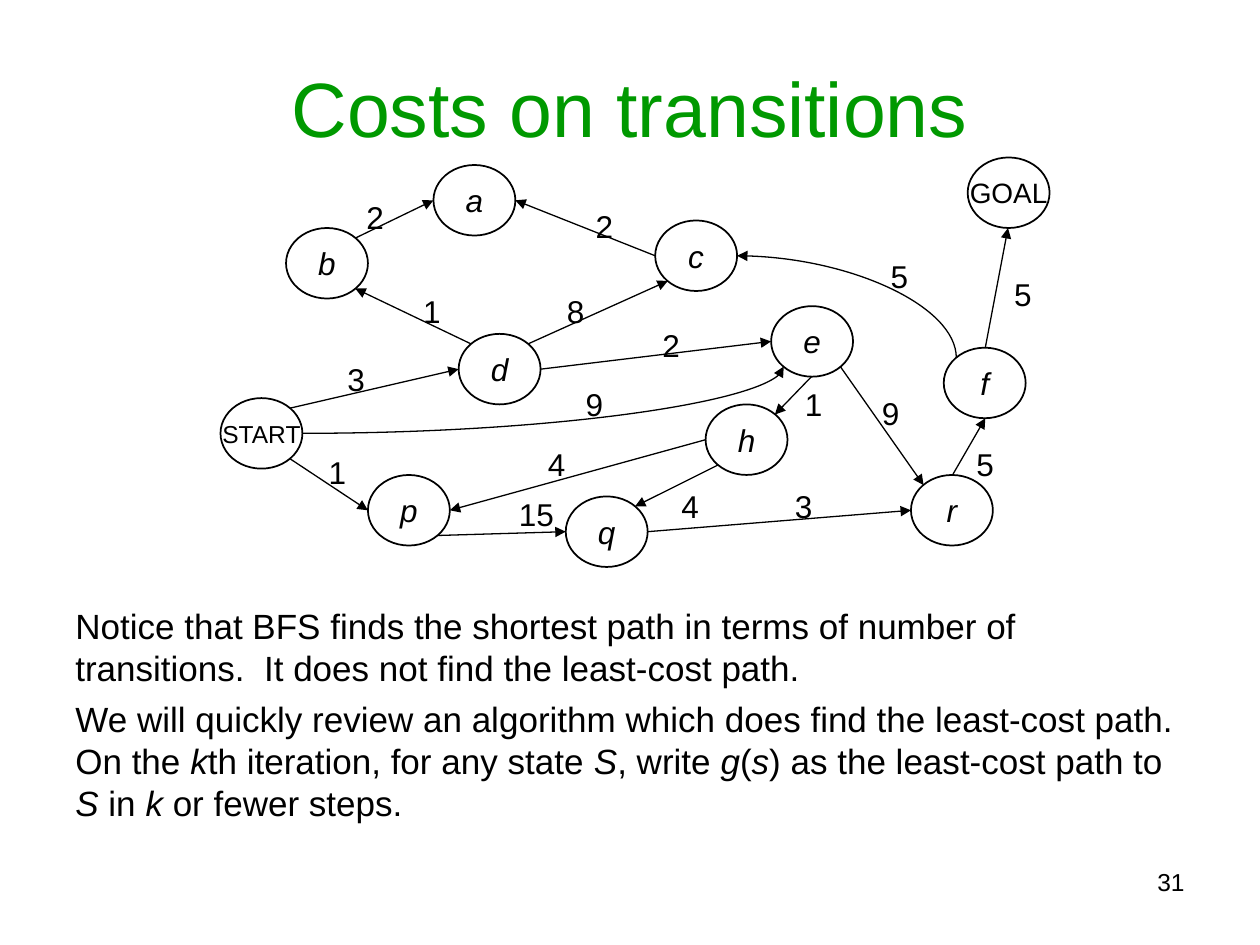
"""Build the slide about transition costs in a state graph."""
from dataclasses import dataclass

from lxml import etree
from pptx import Presentation
from pptx.dml.color import RGBColor
from pptx.enum.shapes import MSO_CONNECTOR, MSO_SHAPE
from pptx.enum.text import MSO_ANCHOR, PP_ALIGN
from pptx.oxml.ns import qn
from pptx.util import Emu, Pt

PX = 9144
NODE_W, NODE_H = 65, 56
DIAGONAL = 0.5 ** 0.5
FONT, BLACK, GREEN = "Arial", "000000", "009900"
CIRCLE = MSO_SHAPE.FLOWCHART_CONNECTOR
STRAIGHT, CURVE = MSO_CONNECTOR.STRAIGHT, MSO_CONNECTOR.CURVE
LEFT, CENTER, RIGHT = PP_ALIGN.LEFT, PP_ALIGN.CENTER, PP_ALIGN.RIGHT
TOP, MIDDLE = MSO_ANCHOR.TOP, MSO_ANCHOR.MIDDLE
SITES = {
    "N": (0, -1), "S": (0, 1), "W": (-1, 0), "E": (1, 0),
    "NW": (-DIAGONAL, -DIAGONAL), "NE": (DIAGONAL, -DIAGONAL),
    "SW": (-DIAGONAL, DIAGONAL), "SE": (DIAGONAL, DIAGONAL),
}


@dataclass(frozen=True)
class Node:
    """A state of the graph."""
    x: int
    y: int
    size: int = 18
    italic: bool = True

    def site(self, name: str) -> tuple[int, int]:
        """Return a point on the outline, named by compass direction."""
        dx, dy = SITES[name]
        return (round(self.x + NODE_W * (1 + dx) / 2),
                round(self.y + NODE_H * (1 + dy) / 2))


@dataclass(frozen=True)
class Edge:
    """A line between the outlines of two nodes."""
    start: str
    start_site: str
    end: str
    end_site: str
    curved: bool = False
    arrow: str = "tailEnd"


@dataclass(frozen=True)
class Cost:
    """The cost written beside an edge."""
    text: str
    x: int
    y: int
    w: int = 30
    h: int = 40


NODES = {
    "START": Node(175, 316, 14, False),
    "GOAL": Node(768, 125, 16, False),
    "d": Node(364, 265),
    "b": Node(227, 181),
    "p": Node(292, 377),
    "q": Node(449, 394),
    "c": Node(520, 175),
    "e": Node(612, 243),
    "h": Node(560, 321),
    "a": Node(344, 131),
    "f": Node(749, 276),
    "r": Node(723, 377),
}
EDGES = [
    Edge("START", "SE", "p", "W"),
    Edge("p", "SE", "q", "W"),
    Edge("h", "SW", "q", "NE"),
    Edge("h", "W", "p", "E"),
    Edge("e", "S", "h", "NE"),
    Edge("e", "SE", "r", "NW"),
    Edge("r", "N", "f", "S"),
    Edge("f", "N", "GOAL", "S"),
    Edge("START", "NE", "d", "W"),
    Edge("d", "NW", "b", "SE"),
    Edge("b", "NE", "a", "W"),
    Edge("c", "W", "a", "E"),
    Edge("d", "NE", "c", "SW"),
    Edge("d", "E", "e", "W"),
    Edge("q", "E", "r", "W"),
    Edge("c", "E", "f", "NW", True, "headEnd"),
    Edge("START", "E", "e", "SW", True),
]
COSTS = [
    Cost("2", 281, 152), Cost("9", 455, 301), Cost("9", 690, 308),
    Cost("8", 440, 227), Cost("1", 326, 227), Cost("1", 629, 301),
    Cost("2", 463, 159), Cost("3", 266, 281), Cost("5", 765, 348),
    Cost("3", 621, 382), Cost("4", 531, 382), Cost("4", 425, 348),
    Cost("15", 402, 388, 50), Cost("1", 251, 355),
    Cost("5", 697, 199), Cost("5", 795, 213), Cost("2", 516, 254),
]
BODY = [
    [("Notice that BFS finds the shortest path in terms of number of "
      "transitions.  It does not find the least-cost path.", False)],
    [("We will quickly review an algorithm which does find the least-cost "
      "path.  On the ", False), ("k", True),
     ("th iteration, for any state ", False), ("S", True),
     (", write ", False), ("g", True), ("(", False), ("s", True),
     (") as the least-cost path to ", False), ("S", True),
     (" in ", False), ("k", True), (" or fewer steps.", False)],
]


def px(value: int) -> Emu:
    """Turn px into EMU."""
    return Emu(value * PX)


def rgb(value: str) -> RGBColor:
    """Turn a hex string into a colour."""
    return RGBColor.from_string(value)


def add_run(p, text: str, size: int, color: str = BLACK, italic: bool = False) -> None:
    """Add one styled run to a paragraph."""
    r = p.add_run()
    r.text = text
    r.font.name = FONT
    r.font.size = Pt(size)
    r.font.italic = italic
    r.font.color.rgb = rgb(color)


def add_text(shapes, box: tuple[int, int, int, int], paragraphs: list, size: int,
             color: str = BLACK, align: PP_ALIGN = LEFT, anchor: MSO_ANCHOR = TOP) -> None:
    """Add a wrapping text box of paragraphs made of (text, italic) runs."""
    tf = shapes.add_textbox(*map(px, box)).text_frame
    tf.word_wrap = True
    tf.vertical_anchor = anchor
    for i, runs in enumerate(paragraphs):
        p = tf.add_paragraph() if i else tf.paragraphs[0]
        p.alignment = align
        p.space_before = Pt(5 if i else 0)
        for text, italic in runs:
            add_run(p, text, size, color, italic)


def add_node(shapes, name: str, node: Node) -> None:
    """Draw a state with its name."""
    sp = shapes.add_shape(CIRCLE, px(node.x), px(node.y), px(NODE_W), px(NODE_H))
    sp.shadow.inherit = False
    sp.fill.background()
    sp.line.color.rgb = rgb(BLACK)
    sp.line.width = Pt(1)
    tf = sp.text_frame
    tf.word_wrap = False
    tf.vertical_anchor = MIDDLE
    p = tf.paragraphs[0]
    p.alignment = CENTER
    add_run(p, name, node.size, italic=node.italic)


def add_edge(shapes, edge: Edge) -> None:
    """Draw an arrow between two nodes."""
    start = NODES[edge.start].site(edge.start_site)
    end = NODES[edge.end].site(edge.end_site)
    kind = CURVE if edge.curved else STRAIGHT
    sp = shapes.add_connector(kind, *map(px, start + end))
    sp.line.color.rgb = rgb(BLACK)
    sp.line.width = Pt(0.75)
    props = sp._element.spPr
    if edge.curved:
        props.find(qn("a:prstGeom")).set("prst", "curvedConnector2")
    etree.SubElement(props.find(qn("a:ln")), qn(f"a:{edge.arrow}"), type="triangle")
    etree.SubElement(props, qn("a:effectLst"))


def main() -> None:
    """Build and save the slide."""
    prs = Presentation()
    prs.slide_width, prs.slide_height = px(1000), px(750)
    s = prs.slides.add_slide(prs.slide_layouts[6])
    add_text(s.shapes, (50, 33, 900, 103), [[("Costs on transitions", False)]],
             44, GREEN, CENTER, MIDDLE)
    add_text(s.shapes, (50, 475, 900, 195), BODY, 20)
    graph = s.shapes.add_group_shape().shapes
    for name, node in NODES.items():
        add_node(graph, name, node)
    for edge in EDGES:
        add_edge(graph, edge)
    for cost in COSTS:
        add_text(graph, (cost.x, cost.y, cost.w, cost.h), [[(cost.text, False)]], 18)
    add_text(s.shapes, (483, 683, 467, 52), [[("31", False)]], 14, align=RIGHT)
    prs.save("out.pptx")


if __name__ == "__main__":
    main()
